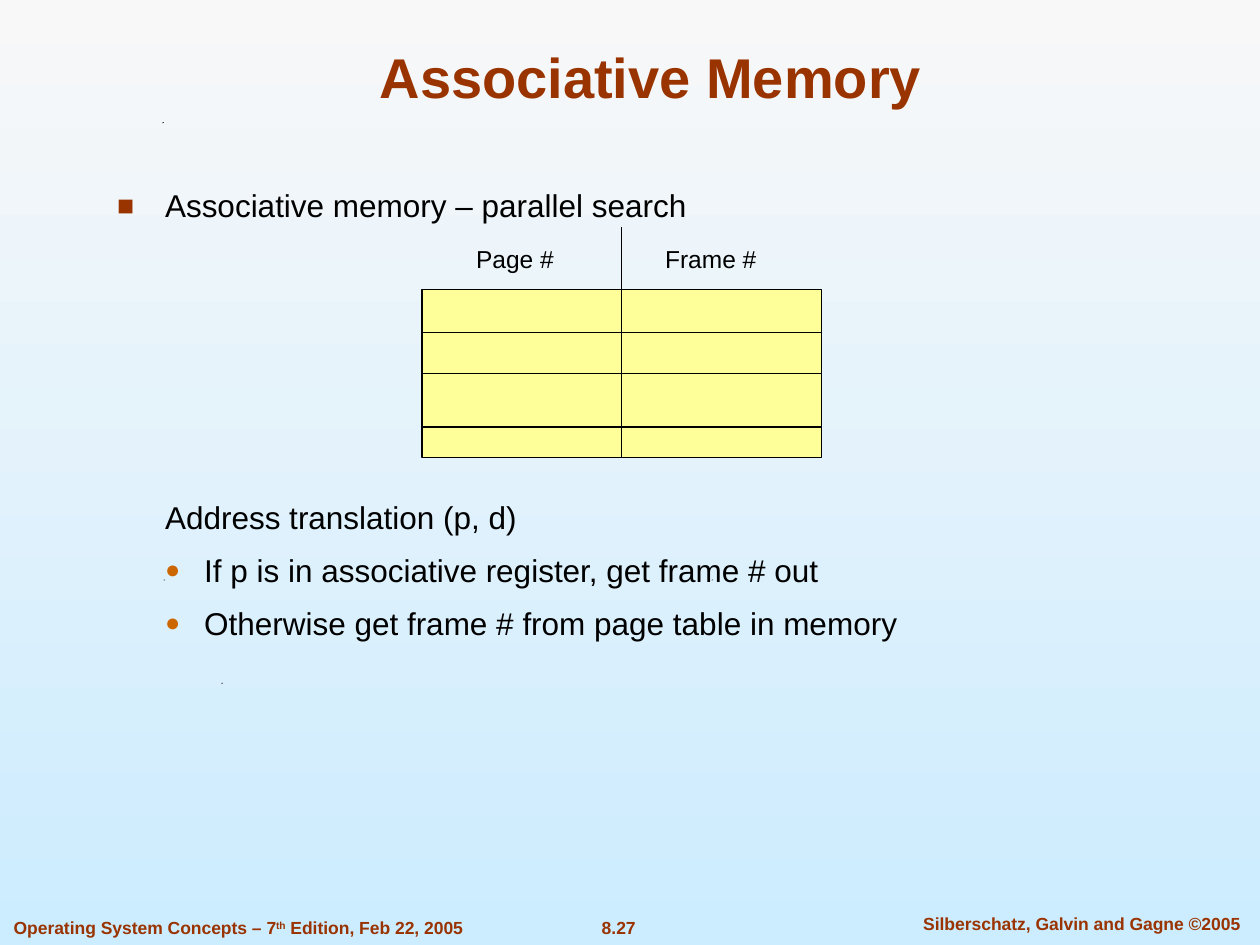
import pptx
import pptx.dml.color
import pptx.enum.shapes
import pptx.enum.text
import pptx.oxml
import pptx.oxml.ns
import pptx.util
from dataclasses import dataclass
from pptx.util import Inches

ALIGN = pptx.enum.text.PP_ALIGN
ANCHOR = pptx.enum.text.MSO_ANCHOR


@dataclass(frozen=True)
class Theme:
    font: str = "Arial"
    brand: str = "993300"
    accent: str = "CC6600"
    ink: str = "000000"
    cell: str = "FFFF99"
    sky_top: str = "F8F8F8"
    sky_bottom: str = "CCECFF"
    title_size: float = 32
    body_size: float = 18
    label_size: float = 14
    footer_size: float = 10
    line_width: float = 0.75


THEME = Theme()


def rgb(value):
    return pptx.dml.color.RGBColor.from_string(value)


def apply(target, values):
    for name, value in values.items():
        setattr(target, name, value)


def style_font(font, size, color, bold=False):
    apply(font, {"name": THEME.font, "size": pptx.util.Pt(size), "bold": bold})
    font.color.rgb = rgb(color)


def place(shape, left, top, width, height):
    apply(shape, {"left": Inches(left), "top": Inches(top),
                  "width": Inches(width), "height": Inches(height)})


def set_indent(paragraph, margin, first=0):
    properties = paragraph._p.get_or_add_pPr()
    properties.set("marL", str(Inches(margin)))
    properties.set("indent", str(Inches(first)))
    return properties


def add_bullet(properties, char, color, percent):
    """Append the bullet's colour, size, font and character."""
    namespace = pptx.oxml.ns.nsdecls("a")
    for xml in (
        f'<a:buClr {namespace}><a:srgbClr val="{color}"/></a:buClr>',
        f'<a:buSzPct {namespace} val="{percent * 1000}"/>',
        f'<a:buFont {namespace} typeface="{THEME.font}"/>',
        f'<a:buChar {namespace} char="{char}"/>',
    ):
        properties.append(pptx.oxml.parse_xml(xml))


def paint_background(slide):
    fill = slide.background.fill
    fill.gradient()
    fill.gradient_angle = 270
    for stop, color in zip(fill.gradient_stops, (THEME.sky_top, THEME.sky_bottom)):
        stop.color.rgb = rgb(color)


def fill_title(title, text):
    place(title, 0.75, 0.25, 8.83, 0.67)
    frame = title.text_frame
    apply(frame, {"text": text, "vertical_anchor": ANCHOR.BOTTOM,
                  "auto_size": pptx.enum.text.MSO_AUTO_SIZE.NONE})
    heading = frame.paragraphs[0]
    heading.alignment = ALIGN.CENTER
    style_font(heading.runs[0].font, THEME.title_size, THEME.brand, True)


def fill_body(body):
    place(body, 0.83, 1.43, 8.04, 4.9)
    frame = body.text_frame
    frame.auto_size = pptx.enum.text.MSO_AUTO_SIZE.NONE
    square, dot = ("■", THEME.brand, 90), ("●", THEME.accent, 80)
    # Text, level, left margin, first-line indent, space before, bullet
    points = [
        ("Associative memory – parallel search", 0, 0.38, -0.38, 0, square),
        ("Address translation (p, d)", 0, 0.38, 0, 156.4, None),
        ("If p is in associative register, get frame # out", 1, 0.69, -0.31, 8.8, dot),
        ("Otherwise get frame # from page table in memory", 1, 0.69, -0.31, 8.8, dot),
    ]
    for index, (text, level, margin, first, before, bullet) in enumerate(points):
        point = frame.add_paragraph() if index else frame.paragraphs[0]
        properties = set_indent(point, margin, first)
        if bullet:
            add_bullet(properties, *bullet)
        else:
            properties.append(pptx.oxml.parse_xml(
                f'<a:buNone {pptx.oxml.ns.nsdecls("a")}/>'))
        apply(point, {"text": text, "level": level,
                      "space_before": pptx.util.Pt(before)})
        style_font(point.runs[0].font, THEME.body_size, THEME.ink)


def add_text(slide, box, runs, size, color, bold=False, align=ALIGN.LEFT,
             anchor=ANCHOR.TOP):
    """Add a one-line box; each run is (text, baseline shift)."""
    frame = slide.shapes.add_textbox(*map(Inches, box)).text_frame
    apply(frame, {"word_wrap": True, "vertical_anchor": anchor})
    line = frame.paragraphs[0]
    line.alignment = align
    for text, shift in runs:
        run = line.add_run()
        run.text = text
        style_font(run.font, size, color, bold)
        if shift:
            run._r.get_or_add_rPr().set("baseline", str(shift * 1000))


def add_rule(slide, start, end):
    rule = slide.shapes.add_connector(
        pptx.enum.shapes.MSO_CONNECTOR.STRAIGHT, *map(Inches, start + end))
    rule.line.color.rgb = rgb(THEME.ink)
    rule.line.width = pptx.util.Pt(THEME.line_width)
    rule._element.spPr.append(pptx.oxml.parse_xml(
        f'<a:effectLst {pptx.oxml.ns.nsdecls("a")}/>'))
    return rule


def add_registers(slide):
    left, top, width, height = 3.35, 2.3, 3.17, 1.33
    registers = slide.shapes.add_shape(
        pptx.enum.shapes.MSO_SHAPE.RECTANGLE, *map(Inches, (left, top, width, height)))
    registers.shadow.inherit = False
    registers.fill.solid()
    registers.fill.fore_color.rgb = rgb(THEME.cell)
    registers.line.color.rgb = rgb(THEME.ink)
    registers.line.width = pptx.util.Pt(THEME.line_width)

    middle = left + width / 2
    divider = add_rule(slide, (middle, 1.8), (middle, top + height))
    divider.end_connect(registers, 2)
    row_rules = [add_rule(slide, (left, y), (left + width, y))
                 for y in (2.64, 2.97, 3.39)]
    # The second row rule meets the middle of both sides
    row_rules[1].begin_connect(registers, 1)
    row_rules[1].end_connect(registers, 3)

    for heading, x in (("Page #", 3.68), ("Frame #", 5.18)):
        add_text(slide, (x, 1.89, 1.42, 0.33), [(heading, 0)],
                 THEME.label_size, THEME.ink, anchor=ANCHOR.MIDDLE)


def add_specks(slide):
    size = 0.01
    for x, y in ((1.76, 5.42), (1.3, 4.6), (5.65, 4.6), (1.29, 0.97)):
        builder = slide.shapes.build_freeform(Inches(x), Inches(y + size))
        builder.add_line_segments([(Inches(x), Inches(y)),
                                   (Inches(x + size), Inches(y))])
        speck = builder.convert_to_shape()
        speck.shadow.inherit = False
        speck.fill.solid()
        speck.fill.fore_color.rgb = rgb(THEME.ink)
        speck.line.fill.background()


def add_footer(slide):
    book = [("Operating System Concepts – 7", 0), ("th", 30),
            (" Edition, Feb 22, 2005", 0)]
    for box, runs, align in (
        ((0.01, 7.23, 3.9, 0.27), book, ALIGN.LEFT),
        ((4.42, 7.23, 0.98, 0.27), [("8.27", 0)], ALIGN.CENTER),
        ((7.1, 7.2, 2.97, 0.27), [("Silberschatz, Galvin and Gagne ©2005", 0)],
         ALIGN.CENTER),
    ):
        add_text(slide, box, runs, THEME.footer_size, THEME.brand, True, align)


def main():
    deck = pptx.Presentation()
    apply(deck, {"slide_width": Inches(10), "slide_height": Inches(7.5)})
    slide = deck.slides.add_slide(deck.slide_layouts[1])

    # Backdrop and footer
    paint_background(slide)
    add_specks(slide)
    add_footer(slide)

    # Title, bullets and register diagram
    fill_title(slide.shapes.title, "Associative Memory")
    fill_body(slide.placeholders[1])
    add_registers(slide)
    deck.save("out.pptx")


if __name__ == "__main__":
    main()
